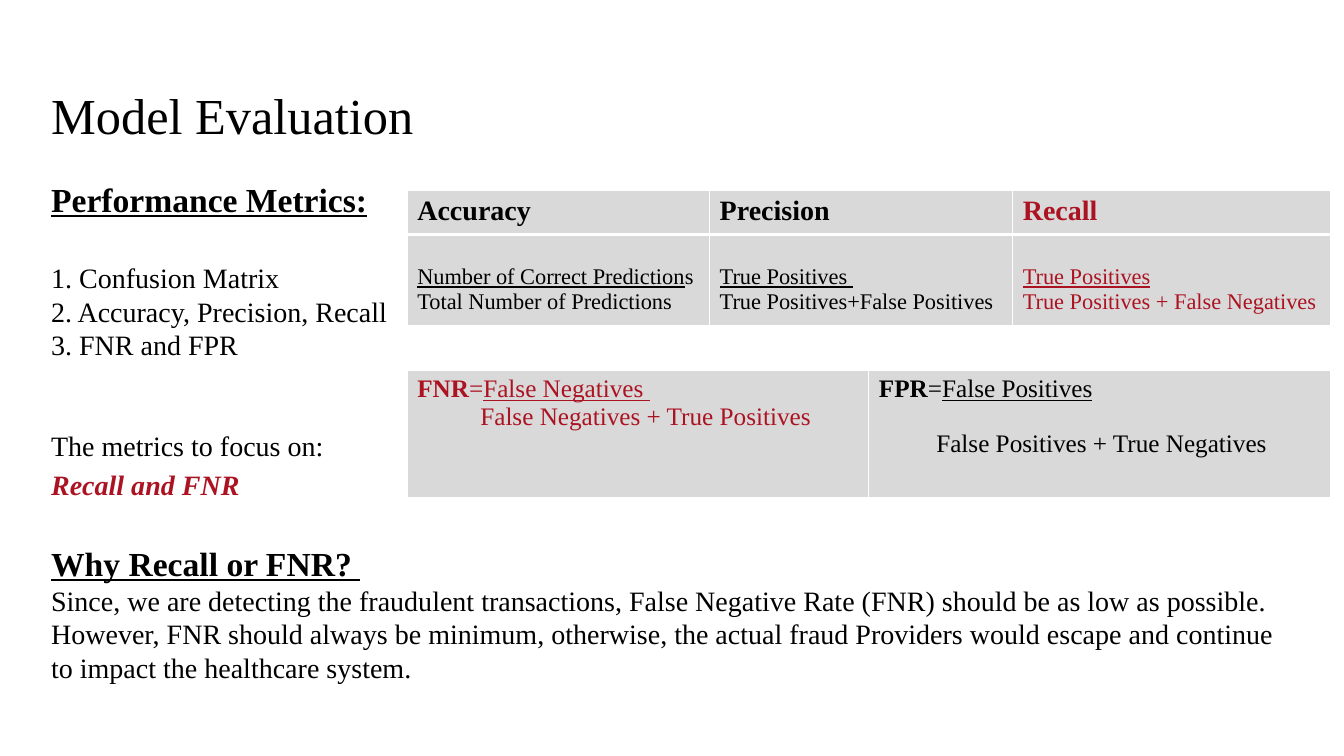
from pptx import Presentation
from pptx.dml.color import RGBColor
from pptx.enum.text import MSO_ANCHOR, PP_ALIGN
from pptx.oxml import parse_xml
from pptx.oxml.ns import nsdecls
from pptx.util import Pt

BLACK = RGBColor(0, 0, 0)
RED = RGBColor(0xAC, 0x13, 0x22)
GREY = RGBColor(0xD9, 0xD9, 0xD9)
FONT = "Times New Roman"
LEFT = 36.5
TABLE_LEFT = 290.9


def write_line(paragraph, runs, size, color=BLACK, before=0, indent=0, spacing=None):
    paragraph.font.name = FONT
    paragraph.font.size = Pt(size)
    paragraph.font.color.rgb = color
    paragraph.alignment = PP_ALIGN.LEFT
    paragraph.space_before = Pt(before)
    paragraph.space_after = Pt(0)
    if spacing:
        paragraph.line_spacing = Pt(spacing)
    if indent:
        paragraph._p.get_or_add_pPr().set("marL", str(Pt(indent)))
    for text, style in runs:
        run = paragraph.add_run()
        run.text = text
        run.font.name = FONT
        run.font.size = Pt(size)
        run.font.color.rgb = color
        run.font.bold = "b" in style
        run.font.italic = "i" in style
        run.font.underline = "u" in style


def write_lines(frame, lines):
    for index, line in enumerate(lines):
        paragraph = frame.add_paragraph() if index else frame.paragraphs[0]
        write_line(paragraph, **line)


def clear_margins(frame):
    frame.word_wrap = True
    frame.margin_left = frame.margin_right = frame.margin_top = frame.margin_bottom = 0


def add_title(slide, text, left, top, width, height):
    title = slide.shapes.title
    title.left, title.top, title.width, title.height = map(Pt, (left, top, width, height))
    clear_margins(title.text_frame)
    title.text_frame.vertical_anchor = MSO_ANCHOR.TOP
    write_lines(title.text_frame, [dict(runs=[(text, "")], size=36)])


def add_text(slide, lines, left, top, width, height):
    box = slide.shapes.add_textbox(Pt(left), Pt(top), Pt(width), Pt(height))
    clear_margins(box.text_frame)
    write_lines(box.text_frame, lines)


def set_borders(cell, bottom):
    properties = cell._tc.get_or_add_tcPr()
    for position, (side, width) in enumerate(
        [("lnL", 1), ("lnR", 1), ("lnT", 1), ("lnB", bottom)]
    ):
        properties.insert(position, parse_xml(
            f'<a:{side} {nsdecls("a")} w="{Pt(width)}"><a:solidFill>'
            f'<a:srgbClr val="FFFFFF"/></a:solidFill></a:{side}>'
        ))


def add_metric_table(slide, rows, left, top, widths, heights, top_margins, bottoms):
    table = slide.shapes.add_table(
        len(heights), len(widths), Pt(left), Pt(top), Pt(sum(widths)), Pt(sum(heights))
    ).table
    for column, width in zip(table.columns, widths):
        column.width = Pt(width)
    for index, row in enumerate(rows):
        table.rows[index].height = Pt(heights[index])
        for cell, lines in zip(table.rows[index].cells, row):
            cell.fill.solid()
            cell.fill.fore_color.rgb = GREY
            cell.margin_top = Pt(top_margins[index])
            set_borders(cell, bottoms[index])
            write_lines(cell.text_frame, lines)


def heading(text):
    return dict(runs=[(text, "bu")], size=24, spacing=27)


def body(text, style="", color=BLACK, before=0):
    return dict(runs=[(text, style)], size=20, color=color, before=before, spacing=24)


def metric_name(text, color=BLACK):
    return [dict(runs=[(text, "b")], size=20, color=color)]


def fraction(numerator, denominator, color=BLACK):
    return [
        dict(runs=numerator, size=16, color=color),
        dict(runs=[(denominator, "")], size=16, color=color),
    ]


def rate(name, numerator, denominator, indent, before=0, color=BLACK):
    return [
        dict(runs=[(name, "b"), ("=", ""), (numerator, "u")], size=18, color=color),
        dict(runs=[(denominator, "")], size=18, color=color, indent=indent, before=before),
    ]


def build_slide(presentation):
    slide = presentation.slides.add_slide(presentation.slide_layouts[5])
    add_title(slide, "Model Evaluation", LEFT, 60, 887, 44)
    add_text(slide, [heading("Performance Metrics:")], LEFT, 129.5, 250, 28)
    add_text(slide, [
        body("1. Confusion Matrix"),
        body("2. Accuracy, Precision, Recall"),
        body("3. FNR and FPR"),
    ], LEFT, 186, 252, 72)
    add_text(slide, [
        body("The metrics to focus on:"),
        body("Recall and FNR", "bi", RED, 4),
    ], LEFT, 306, 250, 52)
    add_text(slide, [
        heading("Why Recall or FNR? "),
        body("Since, we are detecting the fraudulent transactions, False Negative Rate (FNR) "
             "should be as low as possible. However, FNR should always be minimum, otherwise, "
             "the actual fraud Providers would escape and continue to impact the healthcare system."),
    ], LEFT, 389.5, 887, 100)
    add_metric_table(slide, [
        [metric_name("Accuracy"), metric_name("Precision"), metric_name("Recall", RED)],
        [
            fraction([("Number of Correct Prediction", "u"), ("s", "")],
                     "Total Number of Predictions"),
            fraction([("True Positives ", "u")], "True Positives+False Positives"),
            fraction([("True Positives", "u")], "True Positives + False Negatives", RED),
        ],
    ], TABLE_LEFT, 136.2, [216, 216.5, 227], [31, 65], [3.6, 21.5], [3, 1])
    add_metric_table(slide, [[
        rate("FNR", "False Negatives ", "False Negatives + True Positives", 45, color=RED),
        rate("FPR", "False Positives", "False Positives + True Negatives", 41, before=19),
    ]], TABLE_LEFT, 264.3, [329.75, 329.75], [92], [3.6], [3])


def main():
    presentation = Presentation()
    presentation.slide_width = Pt(960)
    presentation.slide_height = Pt(540)
    build_slide(presentation)
    presentation.save("out.pptx")


if __name__ == "__main__":
    main()
